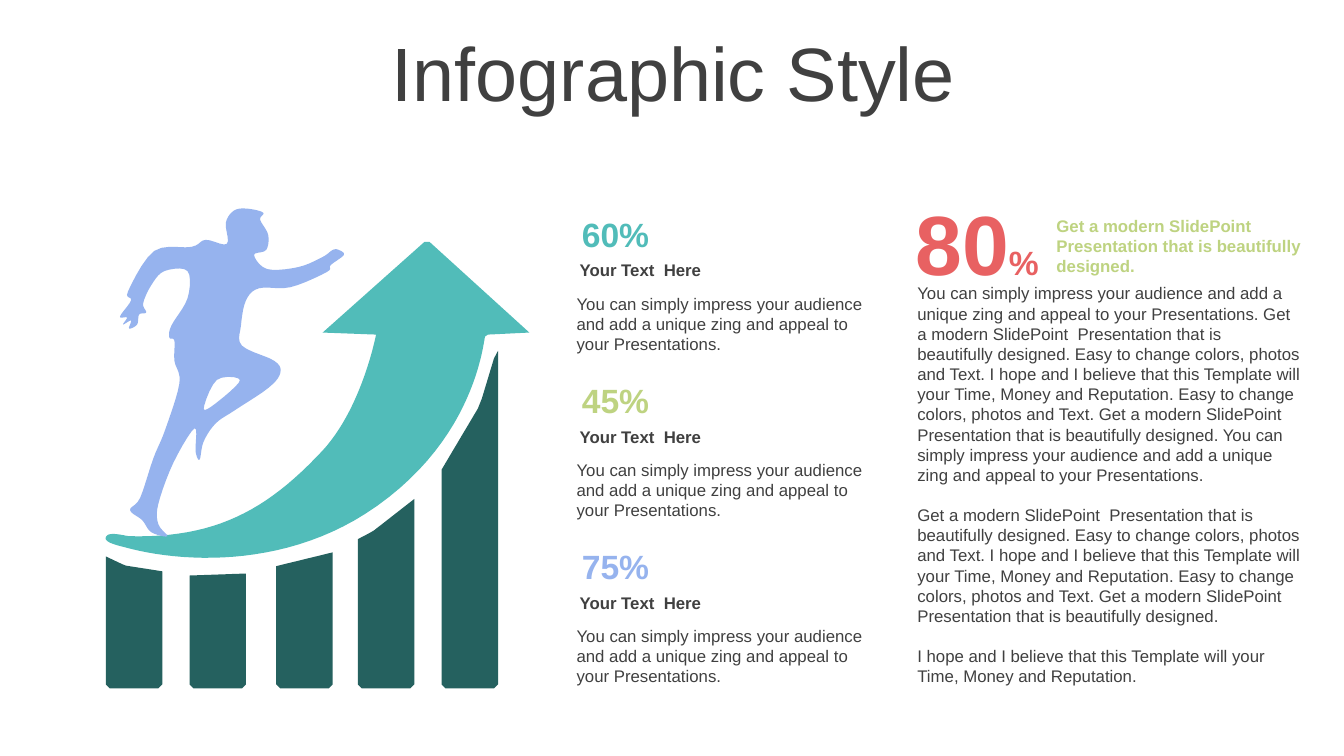
from dataclasses import dataclass
from typing import Any

from pptx import Presentation
from pptx.dml.color import RGBColor
from pptx.enum.text import MSO_ANCHOR, PP_ALIGN
from pptx.util import Inches, Pt

Point = tuple[float, float]


@dataclass(frozen=True)
class Theme:
    """Colours, font and type sizes of the slide."""
    font: str = "Arial"
    ink: str = "404040"
    teal: str = "51BCB9"
    pine: str = "25615F"
    lime: str = "BED381"
    sky: str = "96B3EE"
    coral: str = "E86162"
    title: int = 54
    figure: int = 60
    percent: int = 24
    body: int = 12


@dataclass(frozen=True)
class Span:
    """A run of text with its type settings."""
    text: str
    size: int
    color: str
    bold: bool = False


@dataclass(frozen=True)
class Statistic:
    """A percentage and its colour."""
    value: str
    color: str


THEME = Theme()
BAR_LEFTS = (1.05, 1.88, 2.74, 3.55, 4.38)
BAR_WIDTH, BAR_BOTTOM, BAR_CORNER = 0.56, 6.83, 0.04
STATISTIC_PITCH = 1.65
PARAGRAPH_GAP = 14.4

BAR_TOPS = ((1.05, 5.52), (1.24, 5.61), (1.88, 5.71), (2.44, 5.69), (3.3, 5.48), (3.7, 5.27),
            (4.11, 4.95), (4.38, 4.66), (4.76, 4.02), (4.92, 3.49), (4.94, 3.48))

ARROW_HEAD = ((4.84, 3.32), (5.25, 3.3), (4.26, 2.4), (4.21, 2.4), (3.2, 3.3), (3.73, 3.32))
ARROW_TAIL = (
    ((3.7, 3.47), (3.55, 4.09), (3.2, 4.47)),
    ((2.64, 5.07), (2.13, 5.34), (1.28, 5.32)),
    ((1.21, 5.31), (1.07, 5.27), (1.05, 5.33)),
    ((1.03, 5.38), (1.16, 5.41), (1.24, 5.43)),
    ((1.78, 5.58), (2.77, 5.64), (3.62, 5.1)),
    ((4.65, 4.44), (4.78, 3.52), (4.81, 3.34)),
)

RUNNER_BODY = (
    (3.41, 2.53), (3.36, 2.48), (3.3, 2.48), (3.2, 2.55), (2.96, 2.65), (2.65, 2.67), (2.52, 2.53),
    (2.64, 2.48), (2.66, 2.33), (2.58, 2.18), (2.61, 2.11), (2.45, 2.07), (2.32, 2.09), (2.24, 2.21),
    (2.25, 2.42), (2.04, 2.38), (1.9, 2.45), (1.53, 2.49), (1.27, 2.89), (1.3, 2.98), (1.19, 3.14),
    (1.26, 3.15), (1.22, 3.22), (1.3, 3.18), (1.28, 3.26), (1.36, 3.22), (1.38, 3.12), (1.45, 3.1),
    (1.42, 3.01), (1.5, 2.83), (1.63, 2.69), (1.86, 2.69), (1.86, 2.96), (1.7, 3.23), (1.68, 3.35),
    (1.73, 3.38), (1.73, 3.58), (1.78, 3.8), (1.64, 4.26), (1.52, 4.55), (1.39, 4.94), (1.29, 5.06),
    (1.41, 5.16), (1.5, 5.28), (1.66, 5.32), (1.57, 5.2), (1.57, 5), (1.72, 4.59), (1.93, 4.25),
    (1.94, 4.48), (1.98, 4.56), (2.02, 4.38), (2.14, 4.2), (2.33, 4.07), (2.66, 3.85), (2.78, 3.7),
    (2.72, 3.58), (2.4, 3.43), (2.39, 3.23), (2.44, 2.98), (2.57, 2.86), (2.88, 2.85), (3.24, 2.7),
    (3.28, 2.63),
)
RUNNER_LEG_GAP = ((2.38, 3.77), (2.18, 3.97), (2.02, 4.06), (2.15, 3.77))

STATISTICS = (Statistic("60%", THEME.teal), Statistic("45%", THEME.lime), Statistic("75%", THEME.sky))
IMPRESS = "You can simply impress your audience and add a unique zing and appeal to your Presentations."
MODERN = "Get a modern SlidePoint  Presentation that is beautifully designed."
HOPE = "I hope and I believe that this Template will your Time, Money and Reputation."
CHANGE = "Easy to change colors, photos and Text."
EASY = f"{CHANGE} {HOPE} {CHANGE}"
STORY = (f"{IMPRESS} {MODERN} {EASY} {MODERN} {IMPRESS}", f"{MODERN} {EASY} {MODERN}", HOPE)


def apply(target: Any, values: dict[str, Any]) -> None:
    """Set each named attribute of the target."""
    for name, value in values.items():
        setattr(target, name, value)


def add_text(page: Any, place: tuple[float, float, float, float], paragraphs: list[list[Span]],
             frame_format: dict[str, Any] | None = None, para_format: dict[str, Any] | None = None) -> None:
    """Add a text box with one list of spans per paragraph."""
    box = page.shapes.add_textbox(*map(Inches, place))
    apply(box.text_frame, {"word_wrap": True} | (frame_format or {}))
    for index, spans in enumerate(paragraphs):
        para = box.text_frame.add_paragraph() if index else box.text_frame.paragraphs[0]
        apply(para, para_format or {})
        if index:
            para.space_before = Pt(PARAGRAPH_GAP)
        for span in spans:
            run = para.add_run()
            run.text = span.text
            apply(run.font, {"name": THEME.font, "size": Pt(span.size), "bold": span.bold})
            run.font.color.rgb = RGBColor.from_string(span.color)


def add_outline(page: Any, contours: list[list[Point]], color: str) -> None:
    """Add a filled freeform made of closed contours."""
    scaled = [[(Inches(x), Inches(y)) for x, y in contour] for contour in contours]
    builder = page.shapes.build_freeform(*scaled[0][0])
    for index, (start, *rest) in enumerate(scaled):
        if index:
            builder.move_to(*start)
        builder.add_line_segments(rest, close=True)
    shape = builder.convert_to_shape()
    shape.shadow.inherit = False
    shape.fill.solid()
    shape.fill.fore_color.rgb = RGBColor.from_string(color)
    shape.line.fill.background()


def trace(knots: tuple[Point, ...], steps: int) -> list[Point]:
    """Return points along one cubic curve, after its start."""
    points = []
    for step in range(1, steps + 1):
        t = step / steps
        weights = ((1 - t) ** 3, 3 * t * (1 - t) ** 2, 3 * t * t * (1 - t), t ** 3)
        points.append(tuple(sum(w * knot[axis] for w, knot in zip(weights, knots)) for axis in (0, 1)))
    return points


def smooth(corners: tuple[Point, ...]) -> list[Point]:
    """Return a rounded closed contour through the corners."""
    points = []
    for index, end in enumerate(corners):
        before, start, after = corners[index - 2], corners[index - 1], corners[(index + 1) % len(corners)]
        leaving = tuple(s + (e - b) / 6 for b, s, e in zip(before, start, end))
        arriving = tuple(e - (a - s) / 6 for s, e, a in zip(start, end, after))
        points += trace((start, leaving, arriving, end), 5)
    return points


def top_at(x: float) -> float:
    """Return the height of the bar tops at a position."""
    for (left, high), (right, low) in zip(BAR_TOPS, BAR_TOPS[1:]):
        if x <= right:
            return high + (low - high) * (x - left) / (right - left)
    return BAR_TOPS[-1][1]


def add_bar(page: Any, left: float) -> None:
    """Add a growth bar with softened bottom corners."""
    right, steps = left + BAR_WIDTH, 14
    top = [(x, top_at(x)) for x in (left + BAR_WIDTH * step / steps for step in range(steps + 1))]
    base = [(right, BAR_BOTTOM - BAR_CORNER), (right - BAR_CORNER, BAR_BOTTOM),
            (left + BAR_CORNER, BAR_BOTTOM), (left, BAR_BOTTOM - BAR_CORNER)]
    add_outline(page, [top + base], THEME.pine)


def add_arrow(page: Any) -> None:
    """Add the rising arrow with its curved tail."""
    points = list(ARROW_HEAD)
    for curve in ARROW_TAIL:
        points += trace((points[-1], *curve), 24)
    add_outline(page, [points], THEME.teal)


def main() -> None:
    """Build the slide and save it."""
    deck = Presentation()
    apply(deck, {"slide_width": Inches(13.33), "slide_height": Inches(7.5)})
    page = deck.slides.add_slide(deck.slide_layouts[6])
    middle, centered = {"vertical_anchor": MSO_ANCHOR.MIDDLE}, {"alignment": PP_ALIGN.CENTER}
    add_text(page, (0.35, 0.37, 12.66, 0.79), [[Span("Infographic Style", THEME.title, THEME.ink)]],
             middle, centered | {"line_spacing": 0.9})
    add_arrow(page)
    for left in BAR_LEFTS:
        add_bar(page, left)
    for index, statistic in enumerate(STATISTICS):
        drop = index * STATISTIC_PITCH
        add_text(page, (5.62, 2.07 + drop, 0.97, 0.5),
                 [[Span(statistic.value, THEME.percent, statistic.color, True)]], middle, centered)
        add_text(page, (5.62, 2.86 + drop, 3.22, 0.71), [[Span(IMPRESS, THEME.body, THEME.ink)]])
        add_text(page, (5.65, 2.53 + drop, 3.22, 0.3), [[Span("Your Text  Here", THEME.body, THEME.ink, True)]])
    add_text(page, (8.97, 1.84, 1.44, 1.11),
             [[Span("80", THEME.figure, THEME.coral, True), Span("%", THEME.percent, THEME.coral, True)]],
             middle | {"word_wrap": False}, centered)
    add_text(page, (10.38, 2.09, 2.63, 0.71), [[Span(MODERN, THEME.body, THEME.lime, True)]])
    add_text(page, (9, 2.76, 4.01, 4.14), [[Span(text, THEME.body, THEME.ink)] for text in STORY])
    add_outline(page, [smooth(RUNNER_BODY), smooth(RUNNER_LEG_GAP)], THEME.sky)
    deck.save("out.pptx")


if __name__ == "__main__":
    main()
